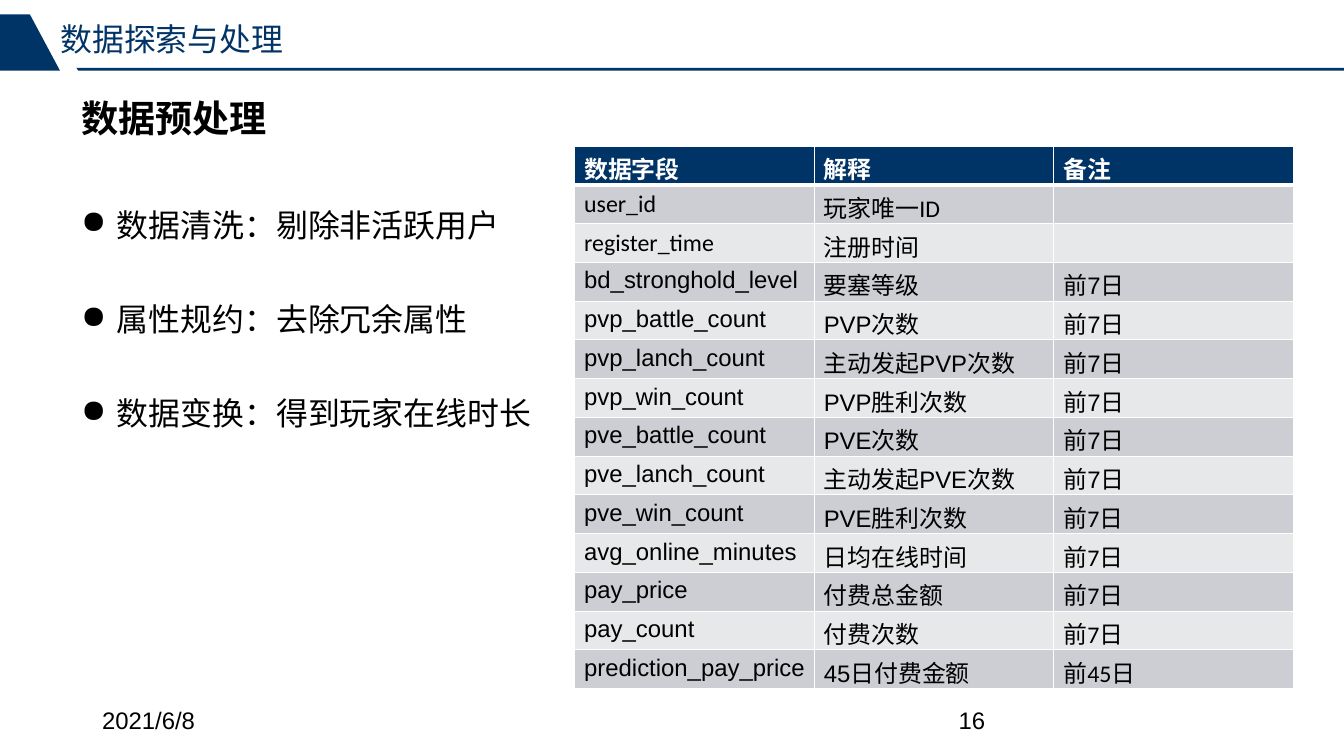
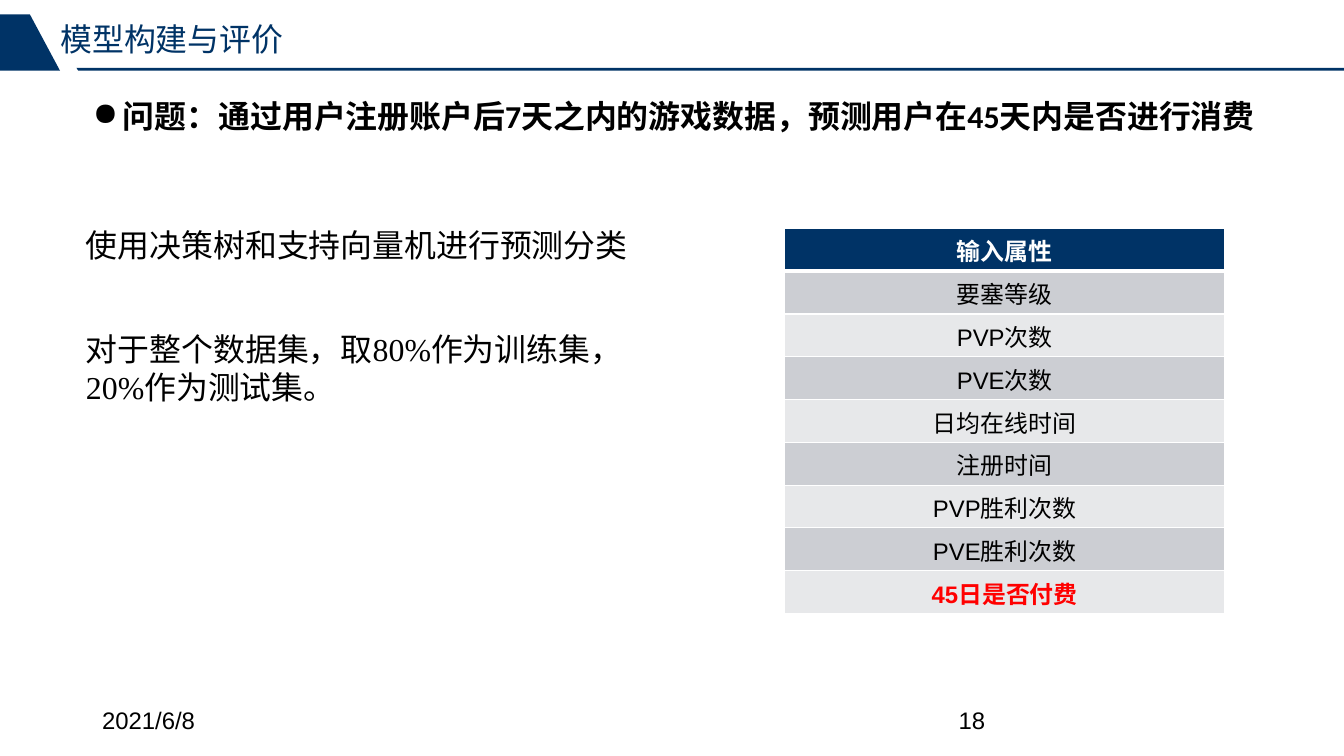
from pptx import Presentation
from pptx.dml.color import RGBColor
from pptx.enum.text import PP_ALIGN as Align
from pptx.oxml.ns import qn
from pptx.util import Pt
from lxml.etree import SubElement

COLORS = {
    "navy": "003366",
    "black": "000000",
    "white": "FFFFFF",
    "red": "FF0000",
    "band_dark": "CCCED3",
    "band_light": "E7E8EA",
}
FONTS = {"A": "Arial", "C": "Calibri", "T": "Times New Roman"}
WIDTH, HEIGHT = 1012.3, 569.5


def rgb(name):
    return RGBColor.from_string(COLORS[name])


class Deck:
    def __init__(self):
        self.presentation = Presentation()
        self.presentation.slide_width = Pt(WIDTH)
        self.presentation.slide_height = Pt(HEIGHT)
        self.slide = None

    def start_slide(self, title, number):
        self.slide = self.presentation.slides.add_slide(self.presentation.slide_layouts[6])
        self.outline([(57.6, 51.1), (WIDTH, 51.1), (WIDTH, 53.3), (59, 53.3)])
        self.outline([(22.5, 10.8), (45.2, 53.3), (0, 53.3), (0, 10.8)])
        heading = self.text_box(45.4, 15.1, 241.2, 28.8, margin=0)
        self.paragraph(heading, [(title, "A")], color="navy", after=6)
        for left, label in ((715, number), (69.8, "2021/6/8")):
            footer = self.text_box(left, 527.8, 227.5, 30.2)
            self.paragraph(footer, [(label, "A")], size=18)

    def outline(self, points):
        corners = [(Pt(x), Pt(y)) for x, y in points]
        builder = self.slide.shapes.build_freeform(*corners[0])
        builder.add_line_segments(corners[1:], close=True)
        shape = builder.convert_to_shape()
        shape.shadow.inherit = False
        shape.fill.solid()
        shape.fill.fore_color.rgb = rgb("navy")
        shape.line.fill.background()

    def text_box(self, left, top, width, height, margin=None):
        shape = self.slide.shapes.add_textbox(Pt(left), Pt(top), Pt(width), Pt(height))
        frame = shape.text_frame
        frame.word_wrap = True
        if margin is not None:
            frame.margin_left = frame.margin_right = Pt(margin)
            frame.margin_top = frame.margin_bottom = Pt(margin)
        return frame

    def paragraph(self, frame, runs, size=24, color="black", bold=False,
                  spacing=None, before=0, after=0, bullet=None):
        paragraph = frame.paragraphs[0]
        if paragraph.runs:
            paragraph = frame.add_paragraph()
        if spacing:
            paragraph.line_spacing = spacing
        paragraph.space_before = Pt(before)
        paragraph.space_after = Pt(after)
        if bullet:
            left, indent = bullet
            properties = paragraph._p.get_or_add_pPr()
            properties.set("marL", str(Pt(left)))
            properties.set("indent", str(Pt(indent)))
            SubElement(properties, qn("a:buChar"), char="●")
        for text, font in runs:
            run = paragraph.add_run()
            run.text = text
            self.format_run(run, font, size, color, bold)

    def format_run(self, run, font, size, color, bold):
        run.font.name = FONTS[font]
        run.font.size = Pt(size)
        run.font.bold = bold
        run.font.color.rgb = rgb(color)

    def table(self, left, top, column_width, row_height, header, rows,
              align=Align.LEFT, accent_last=False):
        columns = len(header)
        frame = self.slide.shapes.add_table(
            len(rows) + 1, columns, Pt(left), Pt(top),
            Pt(column_width * columns), Pt(row_height * (len(rows) + 1)))
        table = frame.table
        table.horz_banding = False
        for column in table.columns:
            column.width = Pt(column_width)
        for row in table.rows:
            row.height = Pt(row_height)
        for index, (fonts, *texts) in enumerate([("C" * columns, *header), *rows]):
            is_header = index == 0
            is_accent = accent_last and index == len(rows)
            fill = "navy" if is_header else "band_dark" if index % 2 else "band_light"
            color = "white" if is_header else "red" if is_accent else "black"
            for column, (text, font) in enumerate(zip(texts, fonts)):
                cell = table.cell(index, column)
                self.borders(cell, top=3 if index == 1 else 1, bottom=3 if is_header else 1)
                cell.fill.solid()
                cell.fill.fore_color.rgb = rgb(fill)
                cell.text_frame.text = text
                paragraph = cell.text_frame.paragraphs[0]
                paragraph.alignment = align
                for run in paragraph.runs:
                    self.format_run(run, font, 18, color, is_header or is_accent)

    def borders(self, cell, top, bottom):
        properties = cell._tc.get_or_add_tcPr()
        for side, width in (("L", 1), ("R", 1), ("T", top), ("B", bottom)):
            line = SubElement(properties, qn("a:ln" + side), w=str(Pt(width)))
            fill = SubElement(line, qn("a:solidFill"))
            SubElement(fill, qn("a:srgbClr"), val=COLORS["white"])


def preprocessing_slide(deck):
    deck.start_slide("数据探索与处理", "16")
    fields = [
        ("CCC", "user_id", "玩家唯一ID", ""),
        ("CCC", "register_time", "注册时间", ""),
        ("AAA", "bd_stronghold_level", "要塞等级", "前7日"),
        ("AAA", "pvp_battle_count", "PVP次数", "前7日"),
        ("AAA", "pvp_lanch_count", "主动发起PVP次数", "前7日"),
        ("AAA", "pvp_win_count", "PVP胜利次数", "前7日"),
        ("AAA", "pve_battle_count", "PVE次数", "前7日"),
        ("AAA", "pve_lanch_count", "主动发起PVE次数", "前7日"),
        ("AAC", "pve_win_count", "PVE胜利次数", "前7日"),
        ("ACC", "avg_online_minutes", "日均在线时间", "前7日"),
        ("AAC", "pay_price", "付费总金额", "前7日"),
        ("AAC", "pay_count", "付费次数", "前7日"),
        ("AAC", "prediction_pay_price", "45日付费金额", "前45日"),
    ]
    deck.table(432.8, 110, 180.5, 29.2, ("数据字段", "解释", "备注"), fields)
    steps = deck.text_box(54, 59.8, 367.2, 270.7)
    deck.paragraph(steps, [("数据预处理", "C")], size=28, bold=True, spacing=1.25)
    for text, gap in (
        ("数据清洗：剔除非活跃用户", 42),
        ("属性规约：去除冗余属性", 35),
        ("数据变换：得到玩家在线时长", 35),
    ):
        deck.paragraph(steps, [(text, "C")], spacing=1.25, before=gap, bullet=(27, -27))


def model_slide(deck):
    deck.start_slide("模型构建与评价", "18")
    question = deck.text_box(36, 61.9, 976.3, 40.3)
    deck.paragraph(
        question,
        [("问题：", "T"),
         ("通过用户注册账户后7天之内的游戏数据，预测用户在45天内是否进行消费", "C")],
        bold=True, spacing=1.25, bullet=(49.5, -22.5))
    method = deck.text_box(57.6, 159.1, 448.6, 39.6)
    deck.paragraph(method, [("使用决策树和支持向量机进行预测分类", "T")], spacing=1.25)
    split = deck.text_box(57.6, 244.8, 447.1, 65.5)
    deck.paragraph(split, [("对于整个数据集，取80%作为训练集，20%作为测试集。", "T")])
    inputs = [
        ("A", "要塞等级"),
        ("A", "PVP次数"),
        ("A", "PVE次数"),
        ("C", "日均在线时间"),
        ("C", "注册时间"),
        ("A", "PVP胜利次数"),
        ("A", "PVE胜利次数"),
        ("A", "45日是否付费"),
    ]
    deck.table(591.1, 172.1, 331.2, 32.25, ("输入属性",), inputs,
               align=Align.CENTER, accent_last=True)


def main():
    deck = Deck()
    preprocessing_slide(deck)
    model_slide(deck)
    deck.presentation.save("out.pptx")


if __name__ == "__main__":
    main()
